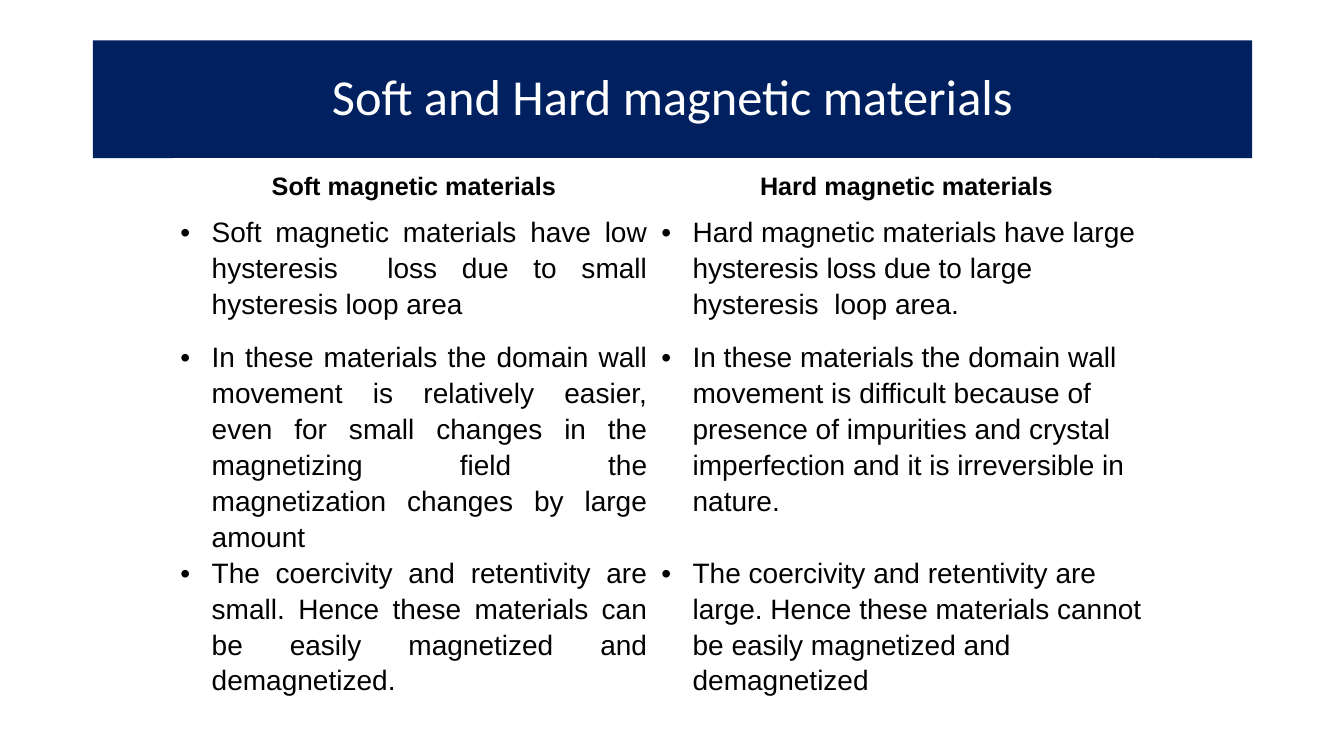
from dataclasses import dataclass

import pptx
import pptx.dml.color
import pptx.enum.text
import pptx.oxml
import pptx.oxml.ns
import pptx.table
import pptx.text.text
import pptx.util
from pptx.util import Inches

COLOURS = {"navy": "002060", "white": "FFFFFF", "black": "000000"}
ALIGN = pptx.enum.text.PP_ALIGN
COLUMN_WIDTHS = (4.77, 5.0)
ROW_HEIGHTS = (0.54, 1.24, 2.08, 2.0)
BULLET_INDENT = 0.31


@dataclass(frozen=True)
class Material:
    heading: str
    properties: tuple[str, ...]
    align: ALIGN


MATERIALS = (
    Material(
        "Soft magnetic materials",
        (
            "Soft magnetic materials have low hysteresis  loss due to small hysteresis loop area",
            "In these materials the domain wall movement is relatively easier, even for small "
            "changes in the magnetizing field the magnetization changes by large amount",
            "The coercivity and retentivity are small. Hence these materials can be easily "
            "magnetized and demagnetized.",
        ),
        ALIGN.JUSTIFY,
    ),
    Material(
        "Hard magnetic materials",
        (
            "Hard magnetic materials have large hysteresis loss due to large hysteresis  loop area.",
            "In these materials the domain wall movement is difficult because of presence of "
            "impurities and crystal imperfection and it is irreversible in nature.",
            "The coercivity and retentivity are large. Hence these materials cannot be easily "
            "magnetized and demagnetized",
        ),
        ALIGN.LEFT,
    ),
)


def rgb(name: str) -> pptx.dml.color.RGBColor:
    return pptx.dml.color.RGBColor.from_string(COLOURS[name])


def write(frame: pptx.text.text.TextFrame, text: str, *, size: int, align: ALIGN,
          spacing: float, font: str = "Arial", colour: str = "black",
          bold: bool = False, bullet: bool = False) -> None:
    paragraph = frame.paragraphs[0]
    paragraph.alignment = align
    paragraph.line_spacing = spacing
    run = paragraph.add_run()
    run.text = text
    run.font.name = font
    run.font.size = pptx.util.Pt(size)
    run.font.bold = bold
    run.font.color.rgb = rgb(colour)
    if bullet:
        add_bullet(paragraph)


def add_bullet(paragraph: pptx.text.text._Paragraph) -> None:
    properties = paragraph._p.get_or_add_pPr()
    properties.set("marL", str(Inches(BULLET_INDENT)))
    properties.set("indent", str(-Inches(BULLET_INDENT)))
    namespace = pptx.oxml.ns.nsdecls("a")
    for markup in (
        f'<a:buClr {namespace}><a:srgbClr val="{COLOURS["black"]}"/></a:buClr>',
        f'<a:buFont {namespace} typeface="Arial"/>',
        f'<a:buChar {namespace} char="•"/>',
    ):
        properties.append(pptx.oxml.parse_xml(markup))


def format_cell(cell: pptx.table._Cell, bottom_border: int) -> None:
    cell.margin_left = cell.margin_right = Inches(0.07)
    cell.margin_top = cell.margin_bottom = 0
    cell.fill.solid()
    cell.fill.fore_color.rgb = rgb("white")
    borders = {"lnL": 1, "lnR": 1, "lnT": 1, "lnB": bottom_border}
    for position, (side, width) in enumerate(borders.items()):
        border = pptx.oxml.parse_xml(
            f'<a:{side} {pptx.oxml.ns.nsdecls("a")} w="{pptx.util.Pt(width)}"><a:solidFill>'
            f'<a:srgbClr val="{COLOURS["white"]}"/></a:solidFill></a:{side}>'
        )
        cell._tc.get_or_add_tcPr().insert(position, border)


def main() -> None:
    presentation = pptx.Presentation()
    presentation.slide_width = Inches(13.33)
    presentation.slide_height = Inches(7.5)
    slide = presentation.slides.add_slide(presentation.slide_layouts[5])

    title = slide.shapes.title
    title.left, title.top = Inches(0.92), Inches(0.4)
    title.width, title.height = Inches(11.5), Inches(1.17)
    title.fill.solid()
    title.fill.fore_color.rgb = rgb("navy")
    title.text_frame.vertical_anchor = pptx.enum.text.MSO_ANCHOR.MIDDLE
    write(title.text_frame, "Soft and Hard magnetic materials", size=36,
          align=ALIGN.CENTER, spacing=0.9, font="Calibri", colour="white")

    comparison = slide.shapes.add_table(
        len(ROW_HEIGHTS), len(COLUMN_WIDTHS), Inches(1.72), Inches(1.57),
        Inches(sum(COLUMN_WIDTHS)), Inches(sum(ROW_HEIGHTS)),
    ).table
    for column, width in zip(comparison.columns, COLUMN_WIDTHS):
        column.width = Inches(width)
    for row, height in zip(comparison.rows, ROW_HEIGHTS):
        row.height = Inches(height)

    for column_index, material in enumerate(MATERIALS):
        heading = comparison.cell(0, column_index)
        format_cell(heading, bottom_border=3)
        write(heading.text_frame, material.heading, size=18, align=ALIGN.CENTER,
              spacing=1.5, bold=True)
        for row_index, statement in enumerate(material.properties, start=1):
            cell = comparison.cell(row_index, column_index)
            format_cell(cell, bottom_border=1)
            write(cell.text_frame, statement, size=20, align=material.align,
                  spacing=1.15, bullet=True)

    presentation.save("out.pptx")


if __name__ == "__main__":
    main()
